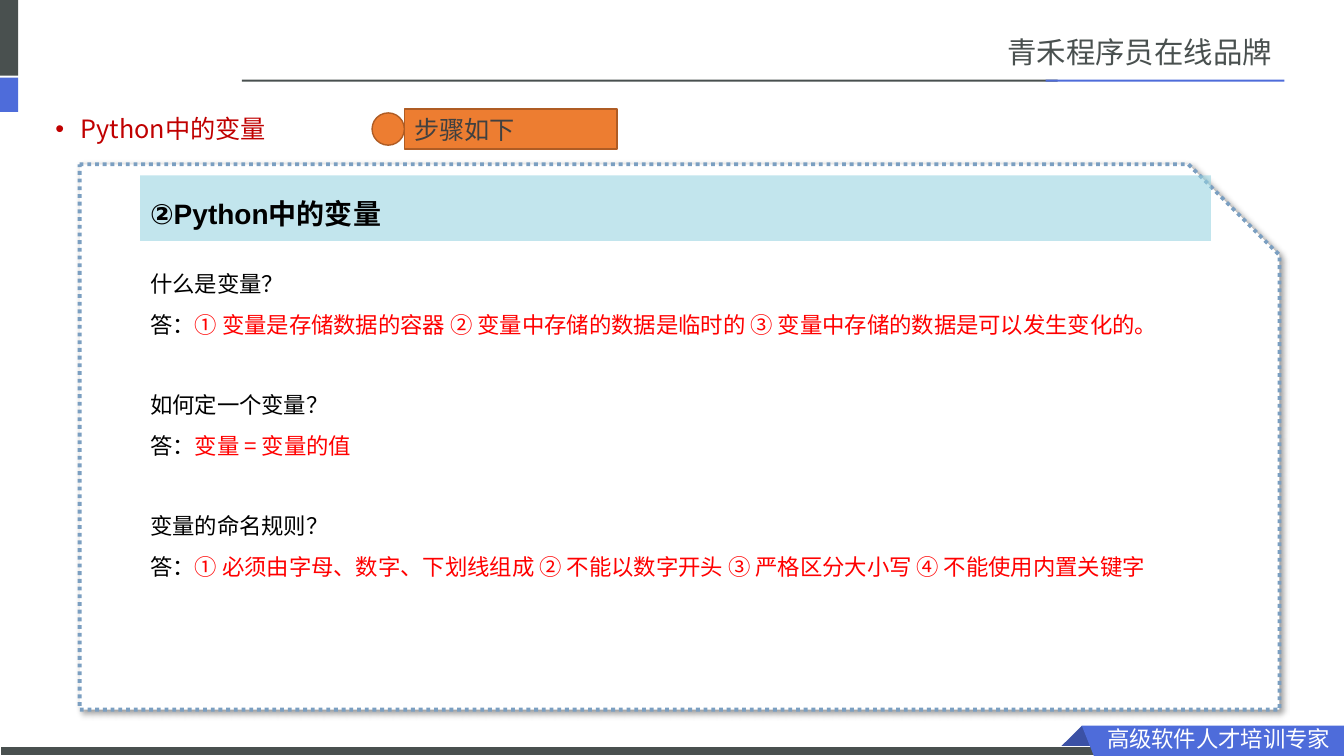
from dataclasses import dataclass

from lxml import etree
from pptx import Presentation
from pptx import util as u
from pptx.dml.color import RGBColor
from pptx.enum import dml, shapes, text
from pptx.oxml import parse_xml
from pptx.oxml.ns import nsdecls, qn


@dataclass(frozen=True)
class Theme:
    dark: str = "49504F"
    blue: str = "4E6CDA"
    fold: str = "3B51A5"
    white: str = "FFFFFF"
    black: str = "000000"
    title: str = "C00000"
    answer: str = "FF0000"
    orange: str = "ED7D31"
    orange_line: str = "AF5C24"
    label: str = "404040"
    frame: str = "7B9FC1"
    band: str = "94D2E0"
    sans: str = "Noto Sans CJK SC"
    heading: str = "Noto Sans CJK JP"
    latin: str = "Arial"
    body_size: int = 16
    title_size: int = 18
    band_size: int = 20
    header_size: int = 21
    line_pitch: float = 28.8


class SlideBuilder:
    def __init__(self, slide, theme):
        self.slide, self.theme = slide, theme

    def paint(self, shape, fill, line=None, width=1):
        shape.shadow.inherit = False
        shape.fill.solid()
        shape.fill.fore_color.rgb = RGBColor.from_string(fill)
        if line:
            shape.line.color.rgb = RGBColor.from_string(line)
            shape.line.width = u.Pt(width)
        else:
            shape.line.fill.background()
        return shape

    def shape(self, kind, box, fill, line=None, width=1):
        added = self.slide.shapes.add_shape(kind, *map(u.Inches, box))
        return self.paint(added, fill, line, width)

    def rect(self, box, fill, line=None, width=1):
        return self.shape(shapes.MSO_SHAPE.RECTANGLE, box, fill, line, width)

    def polygon(self, points, fill):
        start, *rest = [(u.Inches(x), u.Inches(y)) for x, y in points]
        outline = self.slide.shapes.build_freeform(*start)
        outline.add_line_segments(rest, close=True)
        return self.paint(outline.convert_to_shape(), fill)

    def style(self, run, size, color, font, bold=False):
        run.font.size = u.Pt(size)
        run.font.bold = bold
        run.font.name = font
        run.font.color.rgb = RGBColor.from_string(color)
        east_asian = self.theme.sans if font == self.theme.latin else font
        etree.SubElement(run.font._element, qn("a:ea")).set("typeface", east_asian)

    def label(self, shape, words, size, color, font, bold=False, inset=0.1):
        frame = shape.text_frame
        frame.word_wrap = True
        frame.auto_size = text.MSO_AUTO_SIZE.NONE
        frame.vertical_anchor = text.MSO_ANCHOR.MIDDLE
        frame.margin_left = frame.margin_right = u.Inches(inset)
        frame.margin_top = frame.margin_bottom = u.Inches(0.05)
        frame.text = words
        line = frame.paragraphs[0]
        line.alignment = text.PP_ALIGN.LEFT
        self.style(line.runs[0], size, color, font, bold)
        return line

    def textbox(self, box):
        return self.slide.shapes.add_textbox(*map(u.Inches, box))

    def title(self, box, words):
        t = self.theme
        holder = self.slide.shapes.title
        holder.left, holder.top, holder.width, holder.height = map(u.Inches, box)
        line = self.label(holder, words, t.title_size, t.title, t.heading, inset=0.05)
        props = line._p.get_or_add_pPr()
        props.set("marL", str(u.Inches(0.25)))
        props.set("indent", str(-u.Inches(0.25)))
        props.append(parse_xml(f'<a:buFont {nsdecls("a")} typeface="{t.latin}"/>'))
        props.append(parse_xml(f'<a:buChar {nsdecls("a")} char="•"/>'))
        line.line_spacing = 0.9
        line.space_before = u.Pt(0)

    def card(self, box):
        t = self.theme
        card = self.shape(shapes.MSO_SHAPE.SNIP_1_RECTANGLE, box, t.white, t.frame, 2.75)
        card.line.dash_style = dml.MSO_LINE.ROUND_DOT
        effects = card._element.spPr.find(qn("a:effectLst"))
        effects.append(parse_xml(
            f'<a:outerShdw {nsdecls("a")} blurRad="{u.Pt(4)}" dist="{u.Pt(3)}" '
            f'dir="2700000" algn="tl" rotWithShape="0"><a:srgbClr val="{t.black}">'
            '<a:alpha val="40000"/></a:srgbClr></a:outerShdw>'))

    def questions(self, box, pairs):
        t = self.theme
        frame = self.textbox(box).text_frame
        frame.word_wrap = True
        for number, (question, answer) in enumerate(pairs):
            asked = frame.add_paragraph() if number else frame.paragraphs[0]
            asked.text = question
            if number:
                asked.space_before = u.Pt(t.line_pitch)
            self.style(asked.runs[0], t.body_size, t.black, t.sans)
            reply = frame.add_paragraph()
            for words, color in (("答：", t.black), (answer, t.answer)):
                run = reply.add_run()
                run.text = words
                self.style(run, t.body_size, color, t.sans)
            for line in (asked, reply):
                line.line_spacing = u.Pt(t.line_pitch)


def main():
    t = Theme()
    deck = Presentation()
    deck.slide_width, deck.slide_height = u.Inches(13.33), u.Inches(7.5)
    page = SlideBuilder(deck.slides.add_slide(deck.slide_layouts[5]), t)

    # Side marks and header rule
    for box, color in (
        ((0, 0, 0.18, 0.75), t.dark),
        ((2.4, 0.79, 8.09, 0.02), t.dark),
        ((10.37, 0.79, 2.37, 0.02), t.blue),
        ((0, 0.77, 0.18, 0.34), t.blue),
    ):
        page.rect(box, color)

    # Footer ribbon
    page.polygon([(10.73, 7.2), (10.95, 7.42), (10.94, 7.43), (10.52, 7.43),
                  (10.51, 7.42)], t.fold)
    page.rect((0, 7.41, 10.99, 0.09), t.dark, t.white, 0.75)
    page.polygon([(10.73, 7.2), (13.33, 7.2), (13.33, 7.5), (10.85, 7.5)], t.blue)

    # Header and footer slogans
    for box, words, size, color in (
        ((10.93, 7.15, 2.4, 0.36), "高级软件人才培训专家", t.body_size, t.white),
        ((9.94, 0.29, 2.8, 0.45), "青禾程序员在线品牌", t.header_size, t.dark),
    ):
        page.label(page.textbox(box), words, size, color, t.sans, inset=0.05)

    # Title and step label
    page.title((0.5, 1.1, 11.7, 0.38), "Python中的变量")
    step = page.rect((4.01, 1.08, 2.11, 0.4), t.orange, t.orange_line)
    page.label(step, "步骤如下", t.title_size, t.label, t.heading)
    page.shape(shapes.MSO_SHAPE.OVAL, (3.69, 1.12, 0.32, 0.32), t.orange, t.orange_line)

    # Card with questions and answers
    page.card((0.79, 1.63, 11.9, 5.41))
    page.questions((1.39, 2.5, 11.26, 3.29), [
        ("什么是变量？",
         "① 变量是存储数据的容器 ② 变量中存储的数据是临时的 ③ 变量中存储的数据是可以发生变化的。"),
        ("如何定一个变量？", "变量 = 变量的值"),
        ("变量的命名规则？",
         "① 必须由字母、数字、下划线组成 ② 不能以数字开头 ③ 严格区分大小写 ④ 不能使用内置关键字"),
    ])

    # Translucent section band
    band = page.rect((1.39, 1.74, 10.62, 0.65), t.band)
    tint = band._element.spPr.find(qn("a:solidFill"))[0]
    etree.SubElement(tint, qn("a:alpha")).set("val", "56000")
    section = page.label(band, "②Python中的变量", t.band_size, t.black, t.latin, bold=True)
    section.line_spacing = u.Pt(31.4)

    deck.save("out.pptx")


if __name__ == "__main__":
    main()
